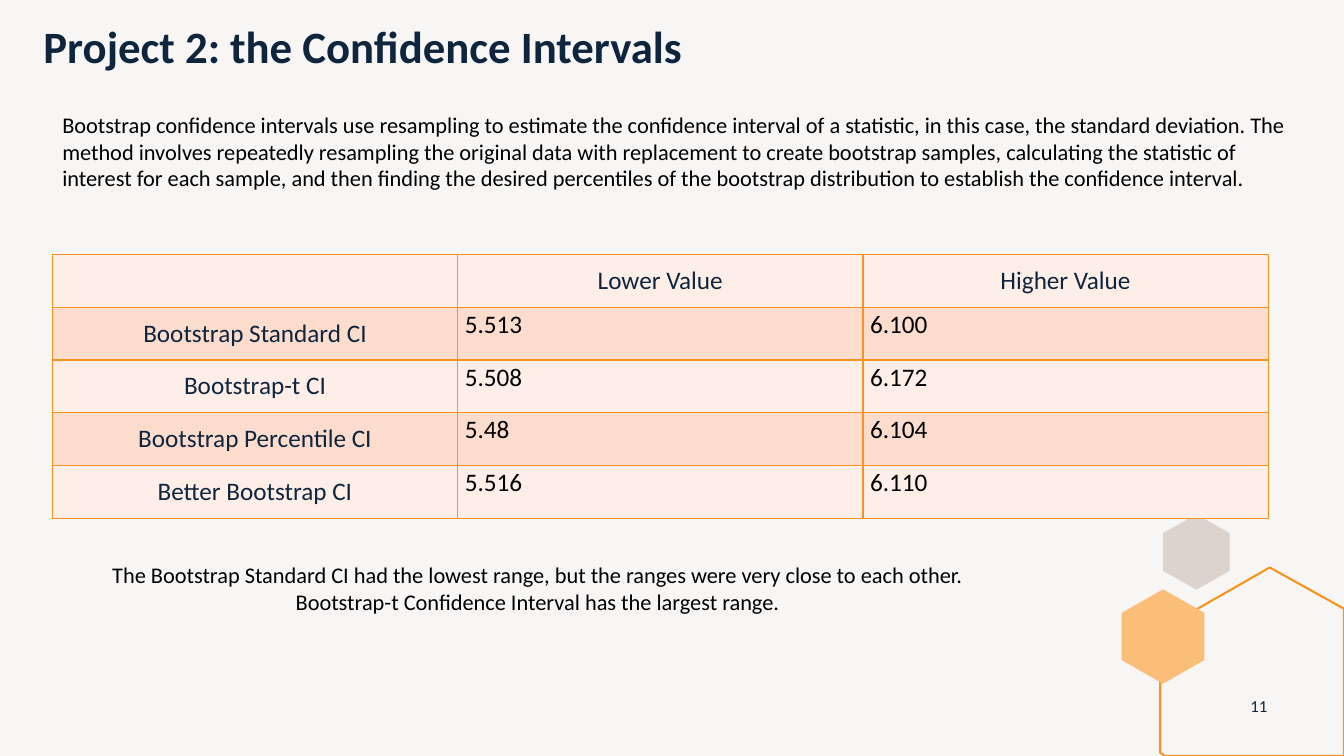
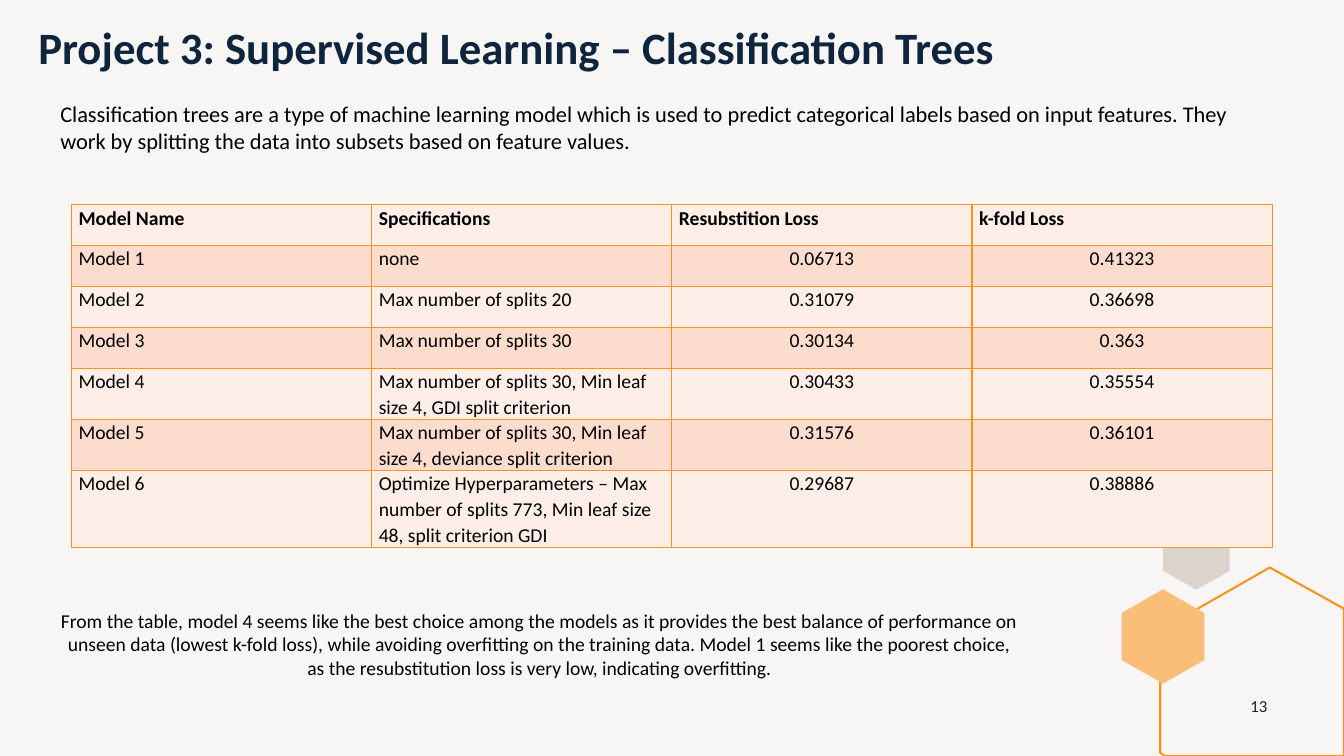
from dataclasses import dataclass
from typing import NamedTuple

import lxml.etree
import pptx
import pptx.dml.color
import pptx.enum.text
import pptx.oxml
import pptx.oxml.ns
import pptx.presentation
import pptx.shapes.autoshape
import pptx.slide
import pptx.table
import pptx.text.text
import pptx.util

Cm = pptx.util.Cm
Align = pptx.enum.text.PP_ALIGN
Anchor = pptx.enum.text.MSO_ANCHOR
Point = tuple[float, float]


@dataclass(frozen=True)
class Theme:
    font: str = "Calibri"
    background: str = "F8F6F5"
    navy: str = "0F253E"
    black: str = "000000"
    orange: str = "F79320"
    amber: str = "FABE79"
    grey: str = "DCD3CC"
    bands: tuple[str, str] = ("FDEEE8", "FCDCCD")
    title_size: int = 32
    large_size: int = 18
    body_size: int = 16
    small_size: int = 14
    number_size: int = 12
    cell_spacing: float = 1.07


THEME = Theme()
SLIDE_WIDTH, SLIDE_HEIGHT = 33.87, 19.05


class Box(NamedTuple):
    """Left, top, width and height in centimetres."""
    left: float
    top: float
    width: float
    height: float

    def lengths(self) -> list[pptx.util.Length]:
        return [Cm(value) for value in self]


class TextStyle(NamedTuple):
    size: int
    color: str = THEME.black
    align: Align = Align.LEFT
    bold: bool = False
    spacing: float | None = None


class CellStyle(NamedTuple):
    text: TextStyle
    anchor: Anchor = Anchor.TOP
    inset: Point = (0.18, 0)


class Passage(NamedTuple):
    text: str
    box: Box
    style: TextStyle


class Grid(NamedTuple):
    box: Box
    row_heights: list[float]
    rows: list[list[str]]
    header: list[CellStyle]
    body: list[CellStyle]


class Page(NamedTuple):
    title: str
    title_box: Box
    intro: Passage
    grid: Grid
    conclusion: Passage
    number: str


TITLE = TextStyle(THEME.title_size, THEME.navy, bold=True, spacing=0.9)
BODY = TextStyle(THEME.body_size)
NUMBER = TextStyle(THEME.number_size, THEME.navy, Align.CENTER)
NUMBER_BOX = Box(31.09, 17.27, 1.27, 1.02)

LABEL = CellStyle(TextStyle(THEME.large_size, THEME.navy, Align.CENTER),
                  Anchor.MIDDLE, (0.25, 0.13))
BOUND = CellStyle(TextStyle(THEME.large_size, spacing=THEME.cell_spacing))
HEADING = CellStyle(TextStyle(THEME.small_size, bold=True, spacing=THEME.cell_spacing))
DETAIL = CellStyle(TextStyle(THEME.small_size, spacing=THEME.cell_spacing))
LOSS = CellStyle(TextStyle(THEME.small_size, align=Align.CENTER,
                           spacing=THEME.cell_spacing))

PAGES = [
    Page(
        "Project 2: the Confidence Intervals",
        Box(0.84, 0.5, 30.25, 2.03),
        Passage(
            "Bootstrap confidence intervals use resampling to estimate the confidence "
            "interval of a statistic, in this case, the standard deviation. The method "
            "involves repeatedly resampling the original data with replacement to create "
            "bootstrap samples, calculating the statistic of interest for each sample, and "
            "then finding the desired percentiles of the bootstrap distribution to "
            "establish the confidence interval.",
            Box(1.32, 2.67, 31.7, 3), BODY),
        Grid(
            Box(1.32, 6.41, 30.64, 6.65),
            [1.33] * 5,
            [
                ["", "Lower Value", "Higher Value"],
                ["Bootstrap Standard CI", "5.513", "6.100"],
                ["Bootstrap-t CI", "5.508", "6.172"],
                ["Bootstrap Percentile CI", "5.48", "6.104"],
                ["Better Bootstrap CI", "5.516", "6.110"],
            ],
            [LABEL] * 3, [LABEL, BOUND, BOUND]),
        Passage(
            "The Bootstrap Standard CI had the lowest range, but the ranges were very "
            "close to each other. Bootstrap-t Confidence Interval has the largest range.",
            Box(1.32, 14.02, 24.46, 1.63), BODY._replace(align=Align.CENTER)),
        "11"),
    Page(
        "Project 3: Supervised Learning – Classification Trees",
        Box(0.71, 0.53, 33.15, 2.26),
        Passage(
            "Classification trees are a type of machine learning model which is used to "
            "predict categorical labels based on input features. They work by splitting "
            "the data into subsets based on feature values.",
            Box(1.27, 2.39, 30.78, 1.63), BODY),
        Grid(
            Box(1.8, 5.16, 30.26, 8.61),
            [1.03] * 4 + [1.29] * 2 + [1.91],
            [
                ["Model Name", "Specifications", "Resubstition Loss", "k-fold Loss"],
                ["Model 1", "none", "0.06713", "0.41323"],
                ["Model 2", "Max number of splits 20", "0.31079", "0.36698"],
                ["Model 3", "Max number of splits 30", "0.30134", "0.363"],
                ["Model 4", "Max number of splits 30, Min leaf size 4, GDI split criterion",
                 "0.30433", "0.35554"],
                ["Model 5",
                 "Max number of splits 30, Min leaf size 4, deviance split criterion",
                 "0.31576", "0.36101"],
                ["Model 6",
                 "Optimize Hyperparameters – Max number of splits 773, Min leaf size 48, "
                 "split criterion GDI",
                 "0.29687", "0.38886"],
            ],
            [HEADING] * 4, [DETAIL, DETAIL, LOSS, LOSS]),
        Passage(
            "From the table, model 4 seems like the best choice among the models as it "
            "provides the best balance of performance on unseen data (lowest k-fold loss), "
            "while avoiding overfitting on the training data. Model 1 seems like the "
            "poorest choice, as the resubstitution loss is very low, indicating "
            "overfitting.",
            Box(1.27, 15.21, 24.66, 2.06),
            TextStyle(THEME.small_size, align=Align.CENTER)),
        "13"),
]


def rgb(color: str) -> pptx.dml.color.RGBColor:
    return pptx.dml.color.RGBColor.from_string(color)


def write(frame: pptx.text.text.TextFrame, text: str, style: TextStyle) -> None:
    frame.text = text
    para = frame.paragraphs[0]
    para.alignment = style.align
    if style.spacing:
        para.line_spacing = style.spacing
    font = para.font
    font.name, font.size, font.bold = THEME.font, pptx.util.Pt(style.size), style.bold
    font.color.rgb = rgb(style.color)


def add_text(page: pptx.slide.Slide, passage: Passage,
             anchor: Anchor = Anchor.TOP) -> None:
    frame = page.shapes.add_textbox(*passage.box.lengths()).text_frame
    frame.word_wrap = True
    frame.vertical_anchor = anchor
    write(frame, passage.text, passage.style)


def set_title(page: pptx.slide.Slide, text: str, box: Box) -> None:
    title = page.shapes.title
    title.left, title.top, title.width, title.height = box.lengths()
    title.text_frame.vertical_anchor = Anchor.TOP
    write(title.text_frame, text, TITLE)


def set_borders(cell: pptx.table._Cell) -> None:
    """Rule all four sides; the border lines must precede the cell's fill."""
    properties = cell._tc.get_or_add_tcPr()
    for position, side in enumerate(("lnL", "lnR", "lnT", "lnB")):
        line = pptx.oxml.parse_xml(
            f'<a:{side} {pptx.oxml.ns.nsdecls("a")} w="{pptx.util.Pt(1)}"><a:solidFill>'
            f'<a:srgbClr val="{THEME.orange}"/></a:solidFill></a:{side}>')
        properties.insert(position, line)


def format_cell(cell: pptx.table._Cell, text: str, style: CellStyle, fill: str) -> None:
    write(cell.text_frame, text, style.text)
    cell.vertical_anchor = style.anchor
    across, down = (Cm(value) for value in style.inset)
    cell.margin_left = cell.margin_right = across
    cell.margin_top = cell.margin_bottom = down
    cell.fill.solid()
    cell.fill.fore_color.rgb = rgb(fill)
    set_borders(cell)


def add_grid(page: pptx.slide.Slide, grid: Grid) -> None:
    column_count = len(grid.header)
    table = page.shapes.add_table(len(grid.rows), column_count, *grid.box.lengths()).table
    table.first_row = table.horz_banding = False
    for column in table.columns:
        column.width = Cm(grid.box.width / column_count)
    for index, (texts, height) in enumerate(zip(grid.rows, grid.row_heights)):
        table.rows[index].height = Cm(height)
        styles = grid.body if index else grid.header
        for column_index, (text, style) in enumerate(zip(texts, styles)):
            format_cell(table.cell(index, column_index), text, style,
                        THEME.bands[index % 2])


def hexagon(center: Point, half_width: float, half_height: float) -> list[Point]:
    """Corners of an upright hexagon, clockwise from the top."""
    x, y = center
    corners = [(0, -1), (1, -0.5), (1, 0.5), (0, 1), (-1, 0.5), (-1, -0.5)]
    return [(x + half_width * across, y + half_height * down) for across, down in corners]


def add_outline(page: pptx.slide.Slide,
                points: list[Point]) -> pptx.shapes.autoshape.Shape:
    start, *others = [(Cm(x), Cm(y)) for x, y in points]
    builder = page.shapes.build_freeform(*start)
    builder.add_line_segments(others, close=True)
    shape = builder.convert_to_shape()
    shape.shadow.inherit = False
    return shape


def fill_shape(shape: pptx.shapes.autoshape.Shape, color: str) -> None:
    shape.fill.solid()
    shape.fill.fore_color.rgb = rgb(color)
    shape.line.fill.background()


def decorate_layout(layout: pptx.slide.SlideLayout, page: pptx.slide.Slide) -> None:
    """Draw the hexagons on a page, then move them to the layout that all pages share."""
    layout.background.fill.solid()
    layout.background.fill.fore_color.rgb = rgb(THEME.background)
    grey = add_outline(page, hexagon((30.15, 13.91), 0.84, 0.95))
    fill_shape(grey, THEME.grey)
    frame = add_outline(page, [(32, 14.3), (SLIDE_WIDTH, 15.34),
                               (SLIDE_WIDTH, SLIDE_HEIGHT), (29.36, SLIDE_HEIGHT),
                               (29.24, 18.97), (29.24, 15.88)])
    frame.fill.background()
    frame.line.color.rgb = rgb(THEME.orange)
    frame.line.width = pptx.util.Pt(1.5)
    amber = add_outline(page, hexagon((29.31, 16.04), 1.04, 1.19))
    fill_shape(amber, THEME.amber)
    for shape in (grey, frame, amber):
        layout.shapes.element.append(shape.element)


def build_page(page: pptx.slide.Slide, content: Page) -> None:
    set_title(page, content.title, content.title_box)
    add_grid(page, content.grid)
    add_text(page, Passage(content.number, NUMBER_BOX, NUMBER), Anchor.MIDDLE)
    add_text(page, content.conclusion)
    add_text(page, content.intro)


def main() -> None:
    deck = pptx.Presentation()
    deck.slide_width, deck.slide_height = Cm(SLIDE_WIDTH), Cm(SLIDE_HEIGHT)
    layout = deck.slide_layouts.get_by_name("Title Only")
    pages = [deck.slides.add_slide(layout) for _ in PAGES]
    decorate_layout(layout, pages[0])
    for page, content in zip(pages, PAGES):
        build_page(page, content)
    deck.save("out.pptx")


if __name__ == "__main__":
    main()
